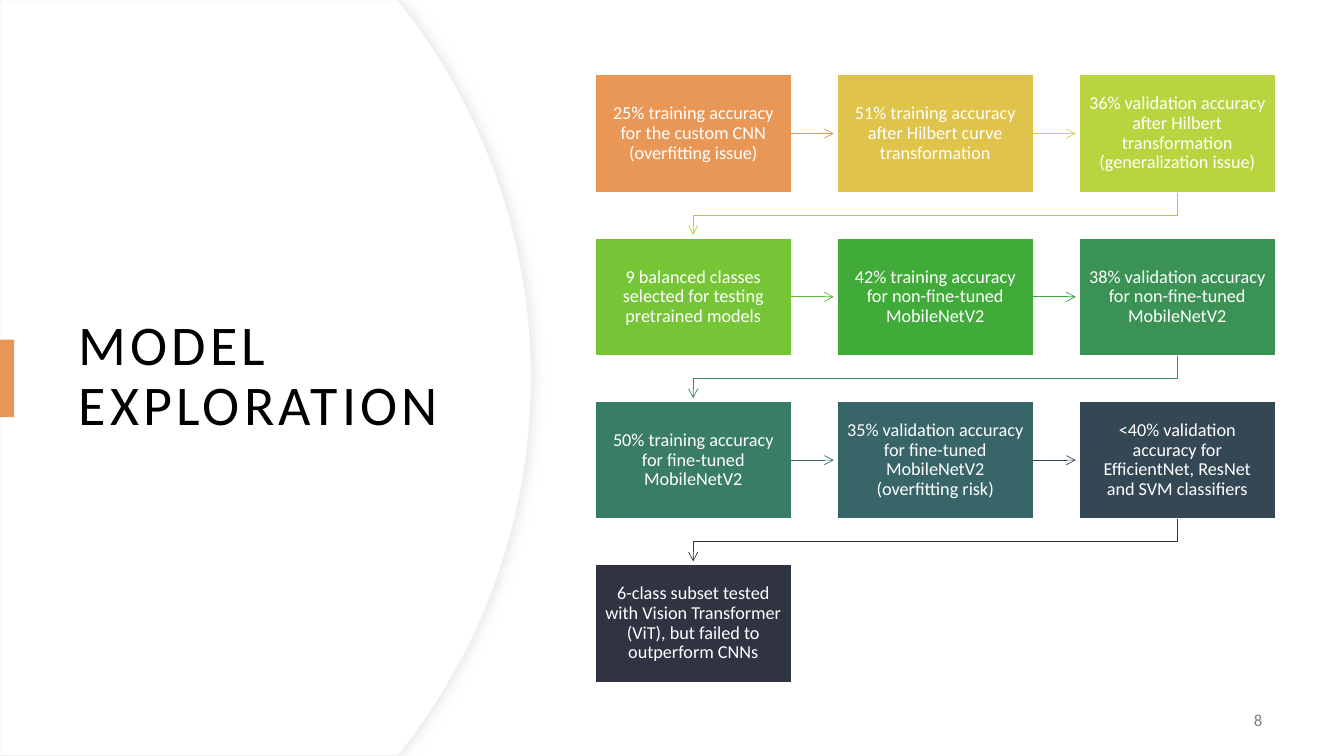
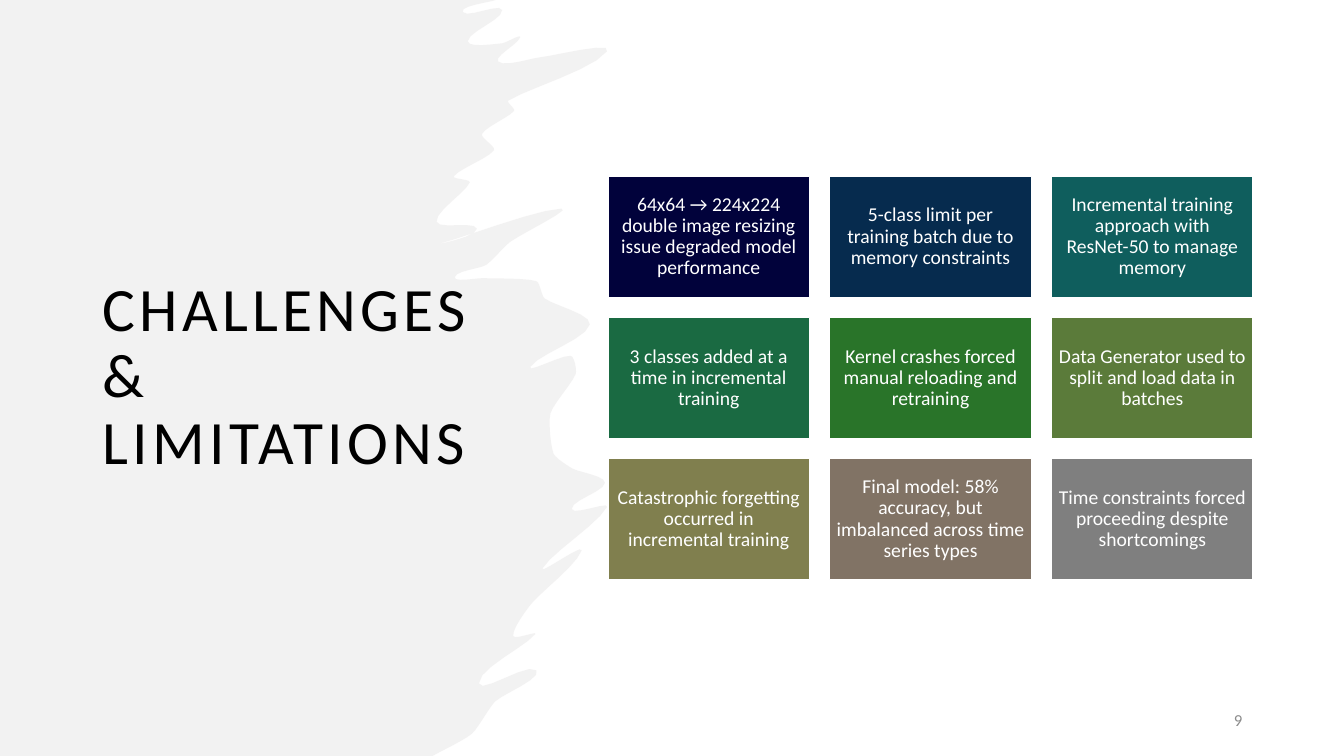
"""Build the model exploration and challenges slides."""
import math
from dataclasses import dataclass
from typing import Optional

from lxml import etree
from pptx import Presentation
from pptx import util as u
from pptx.dml.color import RGBColor
from pptx.enum import shapes, text
from pptx.oxml.ns import qn

FONT = "Calibri"
WHITE, BLACK = "FFFFFF", "000000"
ACCENT = "E99757"
SLIDE_WIDTH, SLIDE_HEIGHT = 13.33, 7.5
COLUMNS = 3
CURVE_STEPS = 6
ARC_RADIUS, ARC_RIGHT, ARC_STEPS = 5.98, 5.27, 60
ARROW_CLEARANCE = 0.03
Point = tuple[float, float]


@dataclass(frozen=True)
class Box:
    """A coloured grid cell and the colour of the arrow leaving it."""
    words: str
    fill: str
    arrow: Optional[str] = None


@dataclass(frozen=True)
class Grid:
    """Position, cell size, pitch and text setting of a grid of boxes."""
    left: float
    top: float
    width: float
    height: float
    pitch_x: float
    pitch_y: float
    inset: float
    size: int


EXPLORATION_GRID = Grid(5.9, 0.74, 1.95, 1.17, 2.4, 1.62, 0.1, 13)
EXPLORATION = [
    Box("25% training accuracy for the custom CNN (overfitting issue)", "E99757", "E99757"),
    Box("51% training accuracy after Hilbert curve transformation", "DFC34A", "DEC948"),
    Box("36% validation accuracy after Hilbert transformation (generalization issue)",
        "B8D43E", "A8D13B"),
    Box("9 balanced classes selected for testing pretrained models", "76C536", "5FBB37"),
    Box("42% training accuracy for non-fine-tuned MobileNetV2", "41AB39", "3A9F45"),
    Box("38% validation accuracy for non-fine-tuned MobileNetV2", "3A9355", "3A8562"),
    Box("50% training accuracy for fine-tuned MobileNetV2", "397D67", "386D6A"),
    Box("35% validation accuracy for fine-tuned MobileNetV2 (overfitting risk)",
        "386567", "354A56"),
    Box("<40% validation accuracy for EfficientNet, ResNet and SVM classifiers",
        "344754", "2F3342"),
    Box("6-class subset tested with Vision Transformer (ViT), but failed to outperform CNNs",
        "2F3342"),
]

CHALLENGE_GRID = Grid(6.03, 1.75, 2, 1.2, 2.2, 1.4, 0.06, 14)
CHALLENGES = [
    Box("64x64 → 224x224 double image resizing issue degraded model performance", "01023B"),
    Box("5-class limit per training batch due to memory constraints", "062B4E"),
    Box("Incremental training approach with ResNet-50 to manage memory", "0F5E5D"),
    Box("3 classes added at a time in incremental training", "1A6A42"),
    Box("Kernel crashes forced manual reloading and retraining", "297429"),
    Box("Data Generator used to split and load data in batches", "5B7B3A"),
    Box("Catastrophic forgetting occurred in incremental training", "807F4E"),
    Box("Final model: 58% accuracy, but imbalanced across time series types", "817365"),
    Box("Time constraints forced proceeding despite shortcomings", "7F7F7F"),
]

BRUSH_EDGE = [
    (4.92, 0), (4.59, 0.12), (4.98, 0.1), (4.64, 0.41), (4.98, 0.43), (5.16, 0.37),
    (4.94, 0.61), (5.35, 0.57), (6.02, 0.51), (5.04, 1), (5.1, 1.1), (4.78, 1.33),
    (4.9, 1.49), (4.5, 1.75), (4.66, 1.81), (4.33, 2.2), (4.73, 2.27), (4.35, 2.42),
    (5.57, 2.07), (5.06, 2.4), (4.82, 2.63), (4.51, 2.75), (4.79, 2.76), (5.32, 2.79),
    (5.4, 2.96), (5.85, 3.22), (5.26, 3.64), (5.66, 3.53), (5.71, 3.71), (5.46, 4.1),
    (5.49, 4.5), (5.68, 4.65), (6, 4.79), (5.67, 5.05), (6.02, 5.03), (5.38, 5.64),
    (5.77, 5.46), (5.27, 5.99), (5.09, 6.31), (5.31, 6.29), (4.75, 6.78), (5.32, 6.65),
    (4.91, 6.96), (4.68, 7.28), (4.29, 7.5),
]


def rgb(value: str) -> RGBColor:
    """Turn a hex string into a colour."""
    return RGBColor.from_string(value)


def place(shape, left: float, top: float, width: float, height: float) -> None:
    """Move and size a shape in inches."""
    shape.left, shape.top = u.Inches(left), u.Inches(top)
    shape.width, shape.height = u.Inches(width), u.Inches(height)


def stroke(shape, colour: str, weight: float) -> None:
    """Set the line colour and weight of a shape or connector."""
    shape.line.color.rgb = rgb(colour)
    shape.line.width = u.Pt(weight)


def paint(shape, fill: Optional[str], line: Optional[str] = None, weight: float = 1) -> None:
    """Set fill and outline, and drop the theme shadow."""
    shape.shadow.inherit = False
    if fill:
        shape.fill.solid()
        shape.fill.fore_color.rgb = rgb(fill)
    else:
        shape.fill.background()
    if line:
        stroke(shape, line, weight)
    else:
        shape.line.fill.background()


def write(shape, words: str, size: int, colour: str, align, inset: Optional[float] = None):
    """Write one middle-anchored paragraph and return it."""
    frame = shape.text_frame
    frame.word_wrap = True
    frame.auto_size = text.MSO_AUTO_SIZE.NONE
    frame.vertical_anchor = text.MSO_ANCHOR.MIDDLE
    if inset is not None:
        frame.margin_left = frame.margin_right = u.Inches(inset)
        frame.margin_top = frame.margin_bottom = u.Inches(inset)
    paragraph = frame.paragraphs[0]
    paragraph.text = words
    paragraph.alignment = align
    paragraph.line_spacing = 0.9
    paragraph.font.name = FONT
    paragraph.font.size = u.Pt(size)
    paragraph.font.color.rgb = rgb(colour)
    return paragraph


def smooth(points: list[Point]) -> list[Point]:
    """Round a polyline with short tangents that cannot overshoot its tips."""
    tangents = []
    for index in range(len(points)):
        before, after = points[max(index - 1, 0)], points[min(index + 1, len(points) - 1)]
        length = math.dist(before, after)
        tangents.append(((after[0] - before[0]) / length, (after[1] - before[1]) / length))
    curve = [points[0]]
    for index, (start, end) in enumerate(zip(points, points[1:])):
        reach = math.dist(start, end) * 0.6
        for step in range(1, CURVE_STEPS + 1):
            t = step / CURVE_STEPS
            blend = t * t * (3 - 2 * t)
            leave, arrive = reach * t * (1 - t) ** 2, reach * t * t * (t - 1)
            x, y = (start[axis] + (end[axis] - start[axis]) * blend
                    + tangents[index][axis] * leave + tangents[index + 1][axis] * arrive
                    for axis in (0, 1))
            curve.append((x, y))
    return curve


def add_outline(slide, points: list[Point], close: bool = True):
    """Draw a freeform through points given in inches."""
    lengths = [(u.Inches(x), u.Inches(y)) for x, y in points]
    builder = slide.shapes.build_freeform(*lengths[0], scale=1.0)
    builder.add_line_segments(lengths[1:], close=close)
    return builder.convert_to_shape()


def add_panel(slide, edge: list[Point]):
    """Draw a full-height panel from the left side of the slide to an edge."""
    return add_outline(slide, [(0, 0), *edge, (0, SLIDE_HEIGHT)])


def add_arrowhead(shape) -> None:
    """Put an open arrowhead at the end of a line."""
    etree.SubElement(shape.element.spPr.get_or_add_ln(), qn("a:tailEnd"), type="arrow")


def set_alpha(colour_element, percent: int) -> None:
    """Give a colour element an opacity."""
    etree.SubElement(colour_element, qn("a:alpha"), val=str(percent * 1000))


def add_arc(slide) -> None:
    """Draw the white curved panel with its soft shadow."""
    middle = SLIDE_HEIGHT / 2
    reach = math.asin(middle / ARC_RADIUS)
    angles = [reach * (2 * step / ARC_STEPS - 1) for step in range(ARC_STEPS + 1)]
    panel = add_panel(slide, [(ARC_RIGHT - ARC_RADIUS * (1 - math.cos(angle)),
                               middle + ARC_RADIUS * math.sin(angle)) for angle in angles])
    paint(panel, WHITE, "EFEFEF", 0.75)
    effects = panel.element.spPr.find(qn("a:effectLst"))
    shadow = etree.SubElement(effects, qn("a:outerShdw"), blurRad=str(u.Pt(7)),
                              dist=str(u.Pt(3)), dir="0", algn="l", rotWithShape="0")
    set_alpha(etree.SubElement(shadow, qn("a:srgbClr"), val="D9D9D9"), 50)


def add_brush(slide) -> None:
    """Draw the translucent brush-stroke panel."""
    panel = add_panel(slide, smooth(BRUSH_EDGE))
    paint(panel, "E7E6E6")
    set_alpha(panel.element.spPr.find(qn("a:solidFill"))[0], 50)


def add_title(slide, words: str, size: int, *area: float) -> None:
    """Format the title placeholder and bring it in front of the panel."""
    title = slide.shapes.title
    place(title, *area)
    write(title, words, size, BLACK, text.PP_ALIGN.LEFT)
    for run in title.element.iter(qn("a:r")):
        run.get_or_add_rPr().set("spc", "300")
    title.element.getparent().append(title.element)


def add_number(slide, words: str, left: float, colour: str) -> None:
    """Write the slide number at the lower right."""
    number = slide.shapes.add_textbox(*map(u.Inches, (left, 6.95, 3, 0.4)))
    paragraph = write(number, words, 12, colour, text.PP_ALIGN.RIGHT)
    paragraph.space_after = u.Pt(6)


def add_boxes(slide, grid: Grid, boxes: list[Box]) -> None:
    """Draw boxes row by row with the arrows that lead on from them."""
    for index, box in enumerate(boxes):
        row, column = divmod(index, COLUMNS)
        left, top = grid.left + column * grid.pitch_x, grid.top + row * grid.pitch_y
        shape = slide.shapes.add_shape(
            shapes.MSO_SHAPE.RECTANGLE, *map(u.Inches, (left, top, grid.width, grid.height)))
        paint(shape, box.fill, WHITE)
        write(shape, box.words, grid.size, WHITE, text.PP_ALIGN.CENTER, grid.inset)
        if not box.arrow:
            continue
        if column < COLUMNS - 1:
            middle = top + grid.height / 2
            end = left + grid.pitch_x - ARROW_CLEARANCE
            arrow = slide.shapes.add_connector(
                shapes.MSO_CONNECTOR.STRAIGHT,
                *map(u.Inches, (left + grid.width, middle, end, middle)))
            arrow.begin_connect(shape, 3)
            stroke(arrow, box.arrow, 0.5)
            etree.SubElement(arrow.element.spPr, qn("a:effectLst"))
        else:
            start_x, end_x = left + grid.width / 2, grid.left + grid.width / 2
            start_y, next_top = top + grid.height, top + grid.pitch_y
            turn = (start_y + next_top) / 2
            arrow = add_outline(slide, [(start_x, start_y), (start_x, turn), (end_x, turn),
                                        (end_x, next_top - ARROW_CLEARANCE)], close=False)
            paint(arrow, None, box.arrow, 0.5)
        add_arrowhead(arrow)


def main() -> None:
    """Build both slides and save the presentation."""
    presentation = Presentation()
    presentation.slide_width, presentation.slide_height = map(u.Inches, (SLIDE_WIDTH, SLIDE_HEIGHT))
    layout = presentation.slide_layouts.get_by_name("Title Only")

    exploration = presentation.slides.add_slide(layout)
    add_arc(exploration)
    add_title(exploration, "MODEL EXPLORATION", 40, 0.68, 1.27, 3.94, 4.95)
    marker = exploration.shapes.add_shape(
        shapes.MSO_SHAPE.RECTANGLE, *map(u.Inches, (0, 3.37, 0.14, 0.77)))
    paint(marker, ACCENT)
    add_number(exploration, "8", 9.62, "808080")
    add_boxes(exploration, EXPLORATION_GRID, EXPLORATION)

    challenges = presentation.slides.add_slide(layout)
    add_brush(challenges)
    add_title(challenges, "CHALLENGES & LIMITATIONS", 44, 0.92, 0.78, 4.33, 5.94)
    add_number(challenges, "9", 9.42, "8C8C8C")
    add_boxes(challenges, CHALLENGE_GRID, CHALLENGES)
    presentation.save("out.pptx")


if __name__ == "__main__":
    main()
